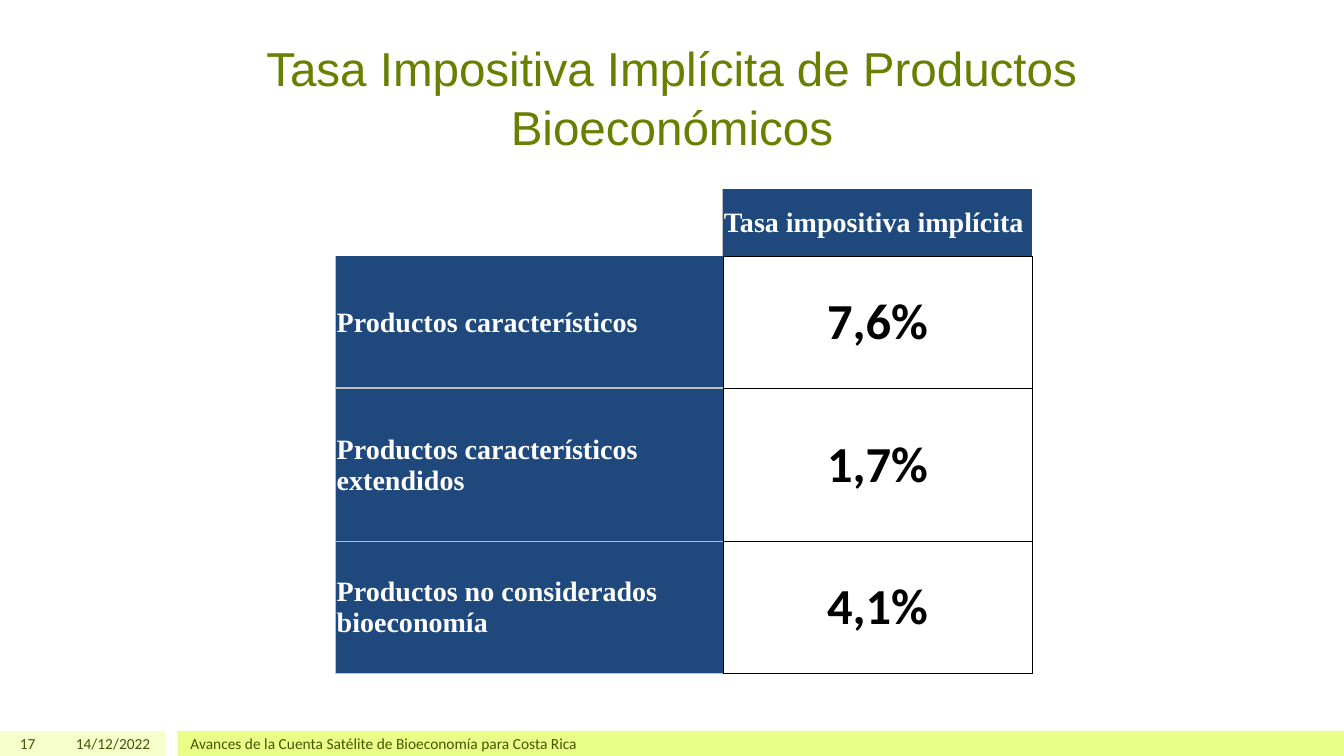
from lxml.etree import SubElement
from pptx import Presentation
from pptx.dml.color import RGBColor
from pptx.enum.shapes import MSO_SHAPE
from pptx.enum.text import MSO_ANCHOR, PP_ALIGN
from pptx.oxml.ns import qn
from pptx.util import Inches, Pt

OLIVE = RGBColor(0x68, 0x80, 0x00)
DARK_OLIVE = RGBColor(0x45, 0x55, 0x00)
PALE_LIME = RGBColor(0xF6, 0xFF, 0xCC)
LIME = RGBColor(0xE9, 0xFF, 0x88)
NAVY = RGBColor(0x1F, 0x49, 0x7D)
GREY = RGBColor(0xBF, 0xBF, 0xBF)
BLACK = RGBColor(0, 0, 0)
WHITE = RGBColor(0xFF, 0xFF, 0xFF)

THIN_BLACK = (BLACK, 0.5)
THIN_GREY = (GREY, 1)
FOOTER_TOP, FOOTER_HEIGHT = 7.25, 0.25


class SlideBuilder:
    def __init__(self, s):
        self.s = s

    def style(self, p, font, size, color, align=PP_ALIGN.LEFT, bold=False):
        p.alignment = align
        p.font.name, p.font.size, p.font.bold = font, Pt(size), bold
        p.font.color.rgb = color

    def band(self, left, width, color):
        sp = self.s.shapes.add_shape(
            MSO_SHAPE.RECTANGLE, Inches(left), Inches(FOOTER_TOP),
            Inches(width), Inches(FOOTER_HEIGHT))
        sp.shadow.inherit = False
        sp.fill.solid()
        sp.fill.fore_color.rgb = color
        sp.line.fill.background()

    def text(self, box, text, font, size, color, align=PP_ALIGN.LEFT,
             anchor=MSO_ANCHOR.MIDDLE, spacing=1.0):
        tf = self.s.shapes.add_textbox(*map(Inches, box)).text_frame
        tf.word_wrap = True
        tf.vertical_anchor = anchor
        p = tf.paragraphs[0]
        p.text = text
        p.line_spacing = spacing
        self.style(p, font, size, color, align)

    def table(self, left, top, widths, heights):
        table = self.s.shapes.add_table(
            len(heights), len(widths), Inches(left), Inches(top),
            Inches(sum(widths)), Inches(sum(heights))).table
        table.first_row = table.horz_banding = False
        for column, width in zip(table.columns, widths):
            column.width = Inches(width)
        for row, height in zip(table.rows, heights):
            row.height = Inches(height)
        return table

    def cell(self, cell, text, fill, borders, **style):
        cell.vertical_anchor = MSO_ANCHOR.MIDDLE
        cell.margin_left = cell.margin_right = cell.margin_top = Inches(0.01)
        cell.margin_bottom = 0
        # Borders precede the fill in the cell properties
        tc_pr = cell._tc.get_or_add_tcPr()
        for side in "LRTB":
            ln = SubElement(tc_pr, qn(f"a:ln{side}"))
            if side in borders:
                color, width = borders[side]
                ln.set("w", str(Pt(width)))
                solid = SubElement(ln, qn("a:solidFill"))
                SubElement(solid, qn("a:srgbClr")).set("val", str(color))
            else:
                SubElement(ln, qn("a:noFill"))
        if fill is None:
            cell.fill.background()
        else:
            cell.fill.solid()
            cell.fill.fore_color.rgb = fill
        if text:
            p = cell.text_frame.paragraphs[0]
            p.text = text
            self.style(p, bold=True, **style)


def main():
    prs = Presentation()
    prs.slide_width, prs.slide_height = Inches(13.33), Inches(7.5)
    slide = SlideBuilder(prs.slides.add_slide(prs.slide_layouts[6]))

    # Footer
    slide.band(0, 1.64, PALE_LIME)
    slide.band(1.76, 11.57, LIME)
    for left, width, text, align in (
        (0, 0.45, "17", PP_ALIGN.RIGHT),
        (0.5, 1.09, "14/12/2022", PP_ALIGN.RIGHT),
        (1.79, 10, "Avances de la Cuenta Satélite de Bioeconomía para Costa Rica",
         PP_ALIGN.LEFT),
    ):
        slide.text((left, FOOTER_TOP, width, FOOTER_HEIGHT), text,
                   "Calibri", 11, DARK_OLIVE, align)

    # Title
    slide.text((1.54, 0.3, 10.25, 1.29),
               "Tasa Impositiva Implícita de Productos Bioeconómicos",
               "Arial", 34, OLIVE, PP_ALIGN.CENTER, MSO_ANCHOR.BOTTOM, 1.04)

    # Table of implicit tax rates
    rates = [
        ("Productos característicos", "7,6%"),
        ("Productos característicos extendidos", "1,7%"),
        ("Productos no considerados bioeconomía", "4,1%"),
    ]
    label = dict(font="Times New Roman", size=20, color=WHITE)
    value = dict(font="Calibri", size=36, color=BLACK, align=PP_ALIGN.CENTER)
    table = slide.table(3.33, 1.88, [3.84, 3.07], [0.66, 1.31, 1.52, 1.31])
    slide.cell(table.cell(0, 0), "", None, {"R": THIN_GREY})
    slide.cell(table.cell(0, 1), "Tasa impositiva implícita", NAVY,
               {"L": THIN_GREY, "B": THIN_BLACK}, **label)
    for i, (product, rate) in enumerate(rates, start=1):
        edges = {"L": THIN_GREY, "R": THIN_BLACK, "B": THIN_GREY}
        if i > 1:
            edges["T"] = THIN_GREY
        slide.cell(table.cell(i, 0), product, NAVY, edges, **label)
        slide.cell(table.cell(i, 1), rate, None,
                   dict.fromkeys("LRTB", THIN_BLACK), **value)

    prs.save("out.pptx")


if __name__ == "__main__":
    main()
